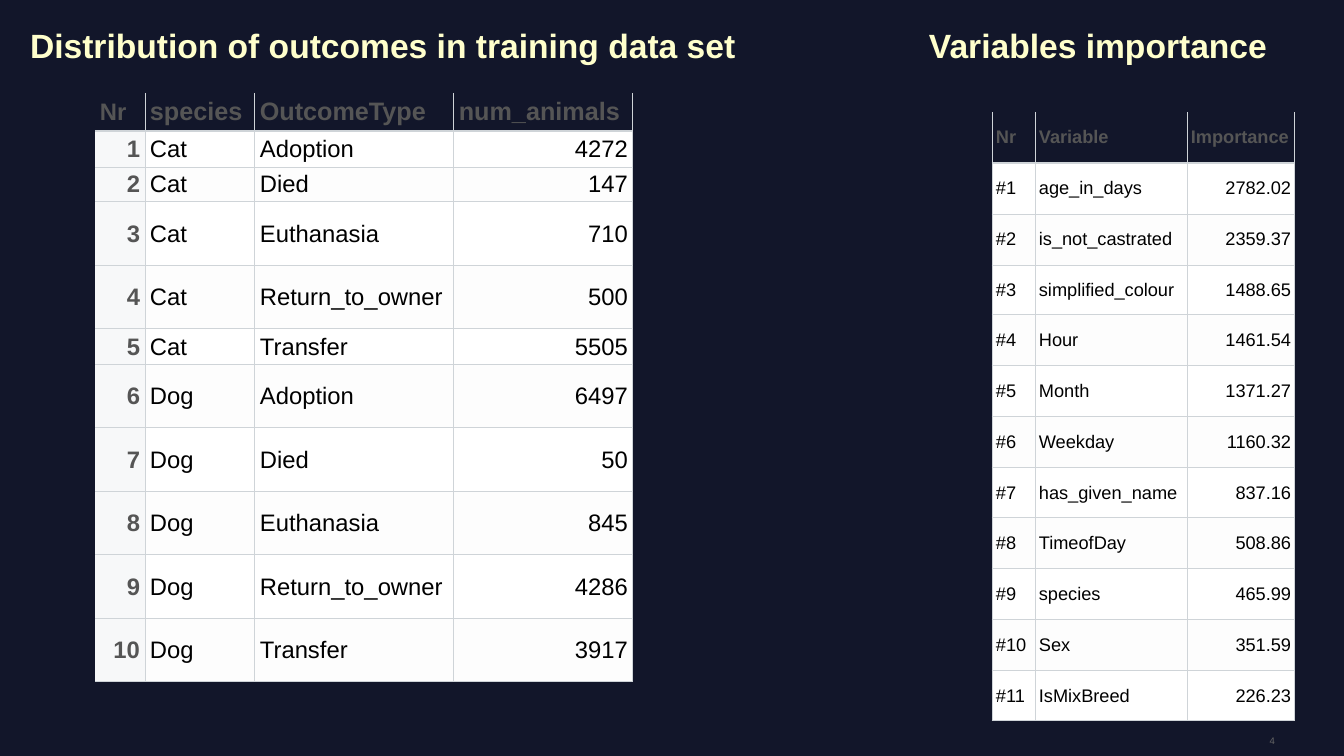
from dataclasses import dataclass

from pptx import Presentation
from pptx import util as u
from pptx.dml import color
from pptx.enum import text
from pptx.oxml import parse_xml
from pptx.oxml import ns

EMU_PER_PIXEL = 914400 / 100.8
FONT = "Arial"
NAVY, CREAM, GREY, BLACK = "12162A", "FFFFCC", "555555", "000000"
BORDER, INDEX_FILL = "CFD4D8", "F7F8F9"
ROW_FILLS = ("FFFFFF", "FDFDFD")
LEFT, RIGHT = text.PP_ALIGN.LEFT, text.PP_ALIGN.RIGHT
TOP, BOTTOM = text.MSO_ANCHOR.TOP, text.MSO_ANCHOR.BOTTOM


@dataclass
class Label:
    wording: str
    box: tuple[int, int, int, int]
    size: float = 24
    colour: str = CREAM
    bold: bool = True
    align: text.PP_ALIGN = LEFT
    anchor: text.MSO_ANCHOR = BOTTOM
    inset_top: int = 5


@dataclass
class DataTable:
    left: int
    top: int
    widths: list[int]
    heights: list[int]
    header_sizes: list[int]
    size: int
    inset: int
    index_column: bool  # bold grey row numbers, open left edge
    rows: list[tuple]


def px(pixels: float) -> u.Emu:
    return u.Emu(round(pixels * EMU_PER_PIXEL))


def rgb(value: str) -> color.RGBColor:
    return color.RGBColor.from_string(value)


def write(frame, wording: str, *, size: float, colour: str,
          bold: bool = False, align=LEFT) -> None:
    para = frame.paragraphs[0]
    para.alignment = align
    span = para.add_run()
    span.text = wording
    span.font.name = FONT
    span.font.size = u.Pt(size)
    span.font.bold = bold
    span.font.color.rgb = rgb(colour)


def draw_label(page, label: Label) -> None:
    frame = page.shapes.add_textbox(*map(px, label.box)).text_frame
    frame.word_wrap = True
    frame.vertical_anchor = label.anchor
    frame.margin_left = frame.margin_right = frame.margin_bottom = 0
    frame.margin_top = px(label.inset_top)
    write(frame, label.wording, size=label.size, colour=label.colour,
          bold=label.bold, align=label.align)


def set_borders(cell, widths: dict[str, float]) -> None:
    """Set the four edges of a cell in points; zero leaves an edge open."""
    properties = cell._tc.get_or_add_tcPr()
    for position, side in enumerate("LRTB"):
        points = widths[side]
        paint = (f'<a:solidFill><a:srgbClr val="{BORDER}"/></a:solidFill>'
                 if points else "<a:noFill/>")
        properties.insert(position, parse_xml(
            f'<a:ln{side} {ns.nsdecls("a")} w="{u.Pt(points)}">'
            f'{paint}</a:ln{side}>'))


def draw_table(page, data: DataTable) -> None:
    table = page.shapes.add_table(
        len(data.rows), len(data.widths), px(data.left), px(data.top),
        px(sum(data.widths)), px(sum(data.heights))).table
    table.first_row = table.horz_banding = False
    for column, width in zip(table.columns, data.widths):
        column.width = px(width)
    for row, height in zip(table.rows, data.heights):
        row.height = px(height)

    for r, values in enumerate(data.rows):
        header = r == 0
        for c, value in enumerate(values):
            cell = table.cell(r, c)
            index = data.index_column and c == 0
            number = not header and (index or c == len(values) - 1)
            strong = header or index
            cell.vertical_anchor = text.MSO_ANCHOR.MIDDLE
            cell.margin_left = cell.margin_right = px(data.inset)
            cell.margin_top = cell.margin_bottom = px(3)
            if header:
                cell.fill.background()
            else:
                cell.fill.solid()
                cell.fill.fore_color.rgb = rgb(
                    INDEX_FILL if index else ROW_FILLS[(r - 1) % 2])
            set_borders(cell, {
                "L": 0 if index else 0.75,
                "R": 0.75,
                "T": 0 if header else 1 if r == 1 else 0.75,
                "B": 1 if header else 0.75})
            write(cell.text_frame, str(value),
                  size=data.header_sizes[c] if header else data.size,
                  colour=GREY if strong else BLACK, bold=strong,
                  align=RIGHT if number else LEFT)


# Content
OUTCOMES = ("Adoption", "Died", "Euthanasia", "Return_to_owner", "Transfer")
COUNTS = {"Cat": (4272, 147, 710, 500, 5505),
          "Dog": (6497, 50, 845, 4286, 3917)}
outcome_rows = [(species, outcome, count) for species, counts in COUNTS.items()
                for outcome, count in zip(OUTCOMES, counts)]

IMPORTANCE = {
    "age_in_days": "2782.02", "is_not_castrated": "2359.37",
    "simplified_colour": "1488.65", "Hour": "1461.54", "Month": "1371.27",
    "Weekday": "1160.32", "has_given_name": "837.16", "TimeofDay": "508.86",
    "species": "465.99", "Sex": "351.59", "IsMixBreed": "226.23"}

TABLES = [
    DataTable(992, 112, [43, 152, 108], [51, 51, 51, 50] * 3, [13] * 3, 13, 4,
              False,
              [("Nr", "Variable", "Importance")]
              + [(f"#{n}", *item)
                 for n, item in enumerate(IMPORTANCE.items(), 1)]),
    DataTable(95, 93, [50, 110, 199, 179],
              [38, 36, 35, 64, 63, 36, 63, 64, 63, 64, 63],
              [17, 18, 18, 18], 17, 5, True,
              [("Nr", "species", "OutcomeType", "num_animals")]
              + [(n, *row) for n, row in enumerate(outcome_rows, 1)]),
]

LABELS = [
    Label("Distribution of outcomes in training data set", (30, 0, 722, 65)),
    Label("Variables importance", (929, 0, 345, 65)),
    Label("4", (1217, 731, 58, 25), size=6.8, colour="666666", bold=False,
          align=RIGHT, anchor=TOP, inset_top=4),
]

# Slide
deck = Presentation()
deck.slide_width, deck.slide_height = px(1344), px(756)
page = deck.slides.add_slide(deck.slide_layouts[6])
page.background.fill.solid()
page.background.fill.fore_color.rgb = rgb(NAVY)

for label in LABELS:
    draw_label(page, label)
for data in TABLES:
    draw_table(page, data)

deck.save("out.pptx")
